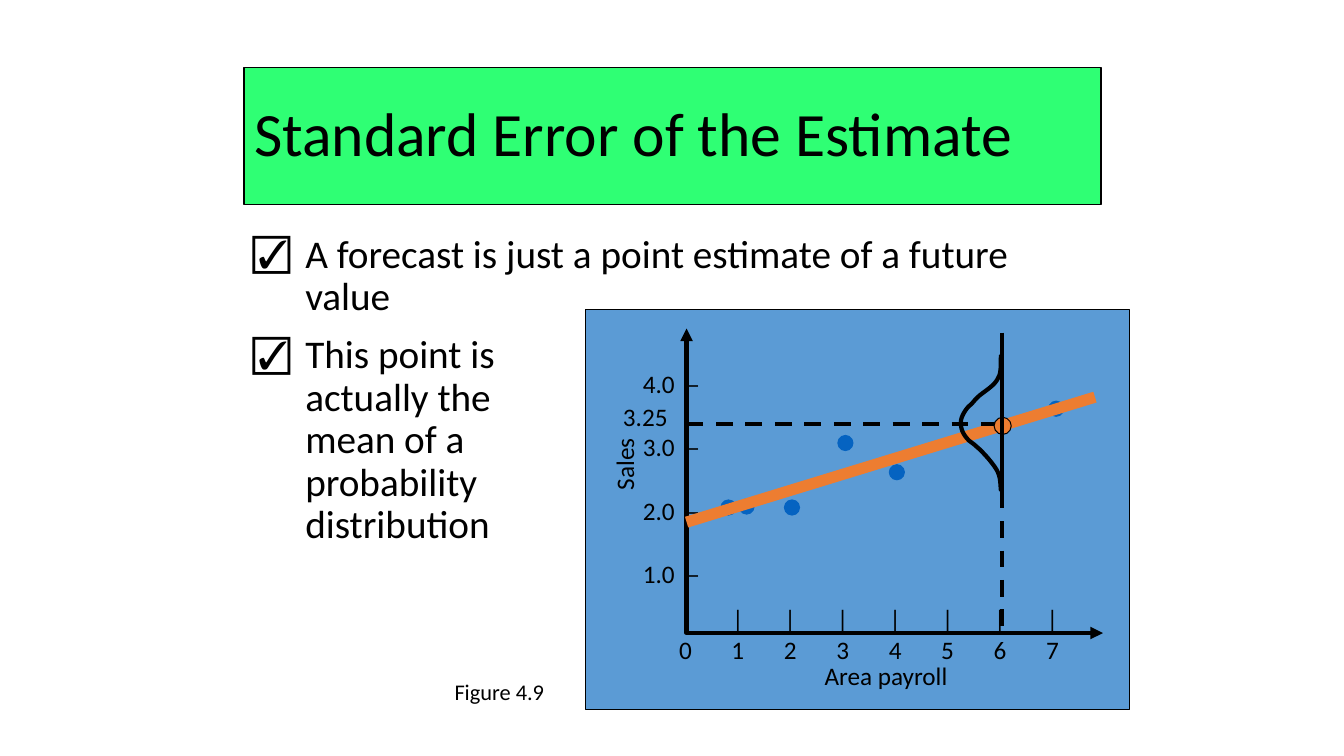
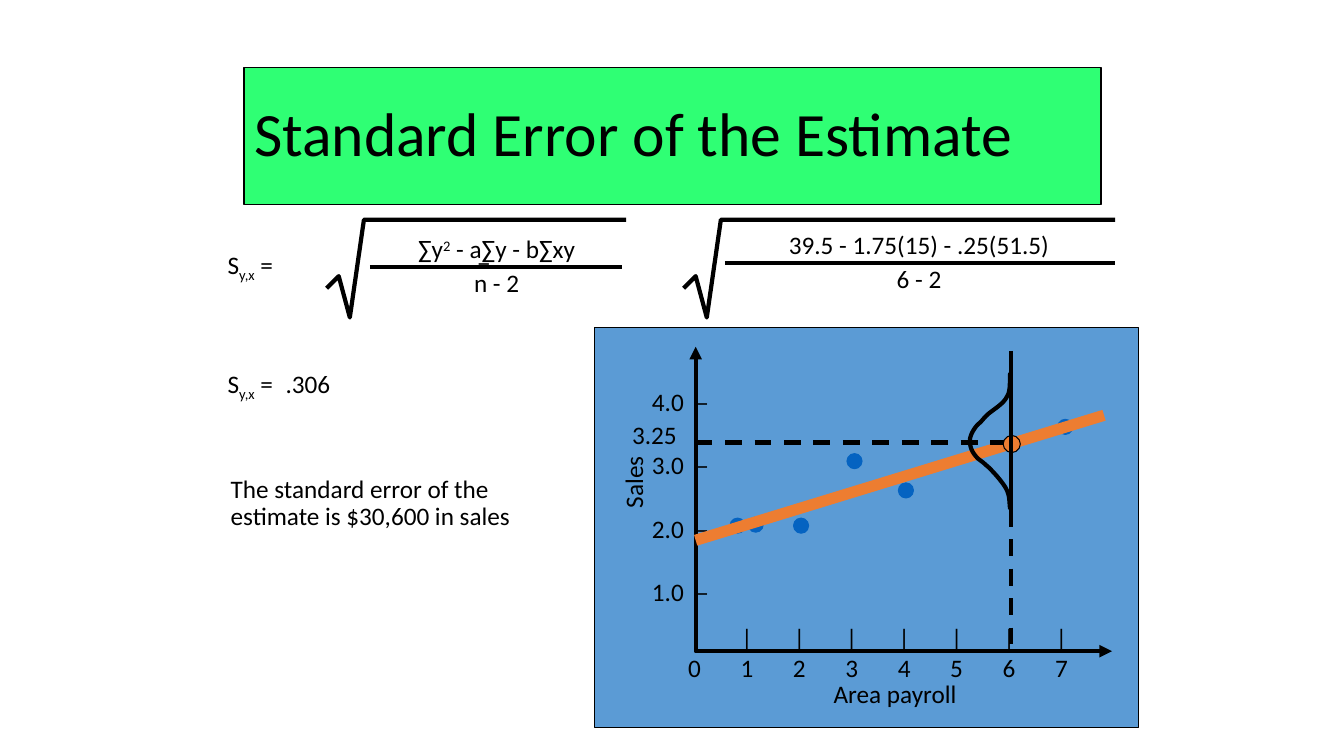
from lxml import etree
from pptx import Presentation
from pptx.dml.color import RGBColor
from pptx.enum.dml import MSO_LINE
from pptx.enum.shapes import MSO_CONNECTOR, MSO_SHAPE
from pptx.enum.text import MSO_ANCHOR, MSO_AUTO_SIZE, PP_ALIGN
from pptx.oxml.ns import qn
from pptx.util import Inches, Pt

LEFT, CENTER, RIGHT = PP_ALIGN.LEFT, PP_ALIGN.CENTER, PP_ALIGN.RIGHT
MIDDLE = MSO_ANCHOR.MIDDLE
NO_FIT, GROW = MSO_AUTO_SIZE.NONE, MSO_AUTO_SIZE.SHAPE_TO_FIT_TEXT
RECT, OVAL = MSO_SHAPE.RECTANGLE, MSO_SHAPE.OVAL
STRAIGHT, DASH = MSO_CONNECTOR.STRAIGHT, MSO_LINE.DASH

FONT = "Calibri"
BLACK, GREEN, BLUE = "000000", "2FFF74", "5B9BD5"
DOT_BLUE, ORANGE = "0563C1", "ED7D31"
TITLE = "Standard Error of the Estimate"
TITLE_LAYOUT = 5

# Plot geometry on the first slide, in inches
PANEL = (5.81, 3.07, 5.39, 3.97)
DOTS = [(10.4, 3.98), (8.82, 4.61), (8.31, 4.32),
        (7.78, 4.96), (7.33, 4.95), (7.15, 4.96)]
DOT_SIZE, MEAN_SIZE = 0.15, 0.17
ZERO_TAB, UNIT = 0.41, 0.52
BELL_START = (9.93, 4.87)
BELL_CURVES = [
    [(9.92, 4.84), (9.93, 4.76), (9.9, 4.69)],
    [(9.87, 4.62), (9.78, 4.52), (9.72, 4.46)],
    [(9.65, 4.4), (9.69, 4.43), (9.61, 4.37)],
    [(9.54, 4.3), (9.53, 4.24), (9.53, 4.19)],
    [(9.53, 4.14), (9.57, 4.07), (9.61, 4.03)],
    [(9.66, 3.99), (9.66, 3.97), (9.72, 3.92)],
    [(9.77, 3.88), (9.87, 3.82), (9.9, 3.75)],
    [(9.94, 3.69), (9.92, 3.57), (9.93, 3.52)],
]


def rgb(color):
    """Turn a hex string into a colour."""
    return RGBColor.from_string(color)


def set_line(line, color=BLACK, width=0.75):
    """Give an outline its colour and width in points."""
    line.color.rgb = rgb(color)
    line.width = Pt(width)


def set_fill(sp, color):
    """Fill a shape with one colour."""
    sp.fill.solid()
    sp.fill.fore_color.rgb = rgb(color)


def add_runs(p, runs, size):
    """Add (text, baseline percent) runs to a paragraph; a string is one run."""
    for text, baseline in [(runs, 0)] if isinstance(runs, str) else runs:
        r = p.add_run()
        r.text = text
        r.font.name = FONT
        r.font.size = Pt(size)
        r.font.color.rgb = rgb(BLACK)
        if baseline:
            r.font._element.set("baseline", str(baseline * 1000))


def set_tabs(p, stops, align):
    """Set tab stops, in inches from the text edge."""
    tabs = etree.SubElement(p._p.get_or_add_pPr(), qn("a:tabLst"))
    for stop in stops:
        etree.SubElement(tabs, qn("a:tab"), pos=str(Inches(stop)), algn=align)


def add_text(shapes, at, paras, size=18, align=LEFT, spacing=None,
             wrap=False, tabs=(), tab_align="l"):
    """Add a text box with one paragraph per item of paras."""
    sp = shapes.add_textbox(*map(Inches, at))
    tf = sp.text_frame
    tf.word_wrap = wrap
    tf.auto_size = GROW
    for i, runs in enumerate(paras):
        p = tf.paragraphs[0] if i == 0 else tf.add_paragraph()
        p.alignment = align
        if spacing:
            p.line_spacing = spacing
        if tabs:
            set_tabs(p, tabs, tab_align)
        add_runs(p, runs, size)
    return sp


def add_check_list(shapes, at, items, size=28):
    """Add a list with check-box bullets; each item is a list of lines."""
    sp = shapes.add_textbox(*map(Inches, at))
    tf = sp.text_frame
    tf.word_wrap = True
    for i, lines in enumerate(items):
        p = tf.paragraphs[0] if i == 0 else tf.add_paragraph()
        p.line_spacing = 0.9
        p.space_before = Pt(0.4 * size)
        pPr = p._p.get_or_add_pPr()
        pPr.set("marL", str(Inches(0.53)))
        pPr.set("indent", str(-Inches(0.53)))
        etree.SubElement(pPr, qn("a:buFont"), typeface=FONT)
        etree.SubElement(pPr, qn("a:buChar"), char="☑")
        for n, line in enumerate(lines):
            if n:
                p.add_line_break()
            add_runs(p, line, size)


def add_shape(shapes, kind, at, fill, line=BLACK):
    """Add a filled preset shape with a thin outline."""
    sp = shapes.add_shape(kind, *map(Inches, at))
    sp.shadow.inherit = False
    set_fill(sp, fill)
    set_line(sp.line, line)


def add_line(shapes, start, end, color=BLACK, width=3):
    """Add a straight line between two points."""
    cn = shapes.add_connector(STRAIGHT, *map(Inches, (*start, *end)))
    set_line(cn.line, color, width)
    etree.SubElement(cn._element.spPr, qn("a:effectLst"))


def add_path(shapes, points, dash=None, arrows=False):
    """Add an open, unfilled outline through the points."""
    first, *rest = [(Inches(x), Inches(y)) for x, y in points]
    builder = shapes.build_freeform(*first)
    builder.add_line_segments(rest, close=False)
    sp = builder.convert_to_shape()
    sp.shadow.inherit = False
    sp.fill.background()
    set_line(sp.line, width=3)
    if dash:
        sp.line.dash_style = dash
    if arrows:
        for end in ("a:headEnd", "a:tailEnd"):
            etree.SubElement(sp.line._ln, qn(end), type="triangle")


def curve_points(start, curves, steps=8):
    """Sample a chain of cubic Bezier curves."""
    points = [start]
    for b, c, d in curves:
        a = points[-1]
        for n in range(1, steps + 1):
            t = n / steps
            weights = ((1 - t) ** 3, 3 * t * (1 - t) ** 2,
                       3 * t ** 2 * (1 - t), t ** 3)
            points.append(tuple(sum(w * q[k] for w, q in zip(weights, (a, b, c, d)))
                                for k in (0, 1)))
    return points


def add_plot(s, dx=0, dy=0):
    """Draw the sales plot with its bell curve, moved by dx and dy."""
    shapes = s.shapes.add_group_shape().shapes

    def move(x, y, *size):
        """Shift a point or a box."""
        return (x + dx, y + dy, *size)

    def path(*points):
        """Shift every point of an outline."""
        return [move(*point) for point in points]

    add_shape(shapes, RECT, move(*PANEL), BLUE)
    for x, y in DOTS:
        add_shape(shapes, OVAL, move(x, y, DOT_SIZE, DOT_SIZE), DOT_BLUE, DOT_BLUE)
    add_path(shapes, path((6.81, 3.26), (6.81, 6.28), (10.94, 6.28)), arrows=True)
    add_text(shapes, move(6.04, 3.27, 1, 3.28),
             [f"{n}.0\u2002–" for n in (4, 3, 2, 1)],
             align=RIGHT, spacing=2.1, wrap=True)
    add_text(shapes, move(6.29, 5.94, 4.6, 0.7),
             ["\t" + "\t|" * 7, "".join(f"\t{n}" for n in range(8))], wrap=True,
             tabs=[ZERO_TAB + UNIT * n for n in range(8)], tab_align="ctr")
    sales = add_text(shapes, move(5.83, 4.4, 0.72, 0.4), ["Sales"])
    sales.rotation = 270
    add_text(shapes, move(8.08, 6.5, 1.43, 0.4), ["Area payroll"])
    add_line(shapes, move(6.81, 5.18), move(10.86, 3.94), ORANGE, 8)
    add_path(shapes, path((6.81, 4.21), (9.94, 4.21), (9.94, 6.28)), dash=DASH)
    add_shape(shapes, OVAL, move(9.86, 4.14, MEAN_SIZE, MEAN_SIZE), ORANGE)
    add_text(shapes, move(6.08, 3.93, 0.65, 0.4), ["3.25"])
    add_line(shapes, move(9.94, 3.3), move(9.94, 5.04))
    add_path(shapes, path(*curve_points(BELL_START, BELL_CURVES)))


def add_root(shapes, left, right, bar, text_at, fraction):
    """Draw a root sign over a fraction; bar is (left, right, y)."""
    top = 2.18
    add_text(shapes, text_at, fraction, align=CENTER, spacing=1.1)
    add_line(shapes, (bar[0], bar[2]), (bar[1], bar[2]))
    add_path(shapes, [(left, top + 0.68), (left + 0.12, top + 0.56),
                      (left + 0.23, top + 0.97), (left + 0.37, top), (right, top)])


def add_formula(s):
    """Draw the formula of the standard error with its values."""
    shapes = s.shapes.add_group_shape().shapes
    add_text(shapes, (2.16, 2.42, 3, 0.4), [[("S", 0), ("y,x", -25), (" =\t=", 0)]],
             wrap=True, tabs=[2.48])
    add_root(shapes, 3.24, 6.21, (3.67, 6.17, 2.65), (4.03, 2.24, 1.79, 0.77),
             [[("∑y", 0), ("2", 30), (" - a∑y - b∑xy", 0)], "n - 2"])
    add_root(shapes, 6.78, 11.06, (7.19, 11.06, 2.61), (7.71, 2.2, 2.81, 0.77),
             ["39.5 - 1.75(15) - .25(51.5)", "6 - 2"])


def add_slide(prs):
    """Add a slide with the green title band."""
    s = prs.slides.add_slide(prs.slide_layouts[TITLE_LAYOUT])
    sp = s.shapes.title
    sp.left, sp.top, sp.width, sp.height = map(Inches, (2.42, 0.67, 8.5, 1.36))
    set_fill(sp, GREEN)
    set_line(sp.line)
    tf = sp.text_frame
    tf.auto_size = NO_FIT
    tf.vertical_anchor = MIDDLE
    p = tf.paragraphs[0]
    p.alignment = LEFT
    p.line_spacing = 0.9
    add_runs(p, TITLE, 44)
    return s


def main():
    """Build both slides and save the file."""
    prs = Presentation()
    prs.slide_width, prs.slide_height = Inches(13.33), Inches(7.5)

    s = add_slide(prs)
    add_check_list(s.shapes, (2.4, 2.28, 8.26, 3.23), [
        ["A forecast is just a point estimate of a future value"],
        ["This point is ", "actually the ", "mean of a ", "probability ",
         "distribution"],
    ])
    add_text(s.shapes, (4.41, 6.68, 1.1, 0.37), ["Figure 4.9"], size=16)
    add_plot(s)

    s = add_slide(prs)
    add_plot(s, 0.09, 0.18)
    add_formula(s)
    add_text(s.shapes, (2.16, 3.6, 1.24, 0.4),
             [[("S", 0), ("y,x", -25), (" =\u2002.306", 0)]])
    add_text(s.shapes, (2.19, 4.68, 3.33, 0.65),
             ["The standard error of the estimate is $30,600 in sales"],
             spacing=0.9, wrap=True)

    prs.save("out.pptx")


main()
